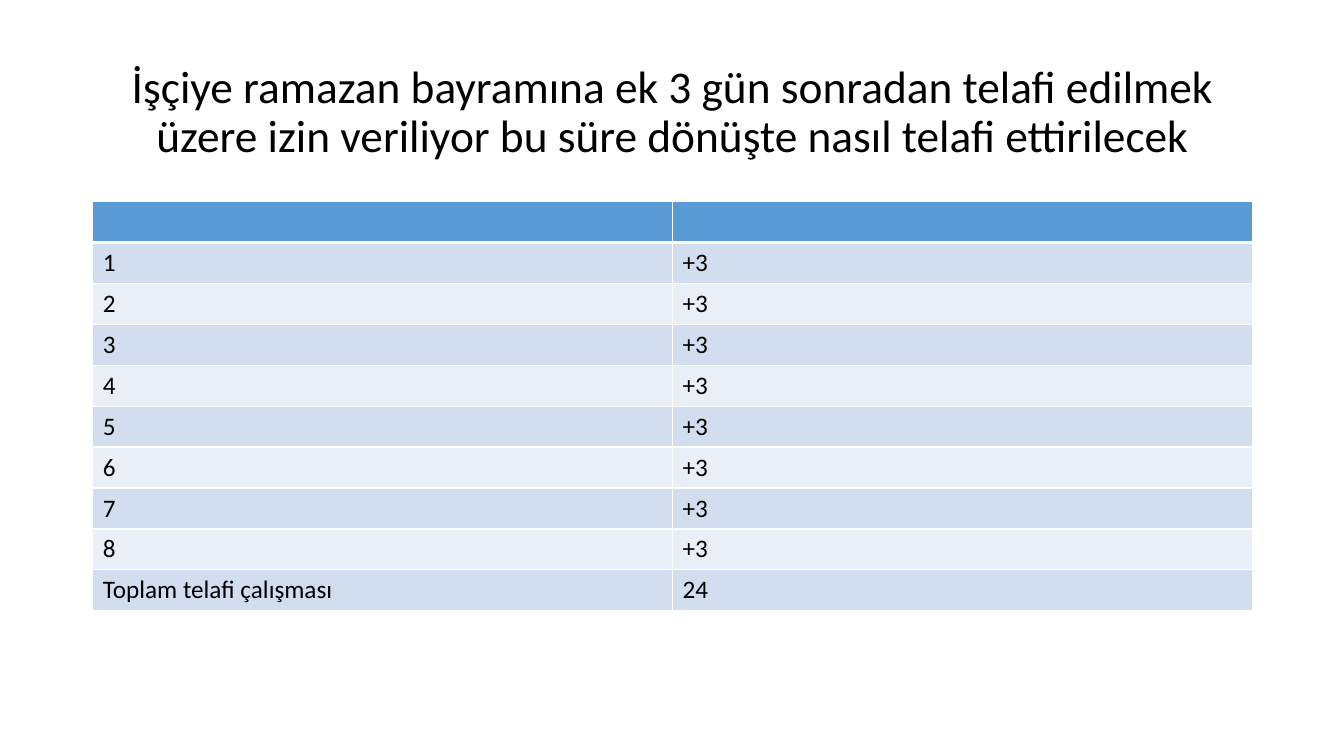
from lxml.etree import SubElement
from pptx import Presentation
from pptx.dml.color import RGBColor
from pptx.enum.text import MSO_ANCHOR, PP_ALIGN
from pptx.oxml.ns import qn
from pptx.util import Inches, Pt


def color(value):
    return RGBColor.from_string(value)


class SlideBuilder:
    font = "Calibri"
    ink = "000000"
    header_fill = "5B9BD5"
    band_fills = ("D2DEEF", "EAEFF7")
    border = "FFFFFF"

    def __init__(self, slide):
        self.slide = slide

    def add_text(self, frame, text, size, **paragraph_format):
        para = frame.paragraphs[0]
        for name, value in paragraph_format.items():
            setattr(para, name, value)
        span = para.add_run()
        span.text = text
        for name, value in {"name": self.font, "size": Pt(size), "bold": False}.items():
            setattr(span.font, name, value)
        span.font.color.rgb = color(self.ink)

    def title(self, text, left, top, width, height, size):
        box = self.slide.shapes.add_textbox(*map(Inches, (left, top, width, height)))
        frame = box.text_frame
        for name, value in {"word_wrap": True, "vertical_anchor": MSO_ANCHOR.MIDDLE}.items():
            setattr(frame, name, value)
        self.add_text(frame, text, size, alignment=PP_ALIGN.CENTER, line_spacing=0.9)

    def cell_borders(self, cell, widths):
        properties = cell._tc.get_or_add_tcPr()
        for side, width in widths.items():
            line = SubElement(properties, qn(f"a:ln{side}"), w=str(Pt(width)))
            fill = SubElement(line, qn("a:solidFill"))
            SubElement(fill, qn("a:srgbClr"), val=self.border)

    def table(self, rows, left, top, width, height, size):
        place = map(Inches, (left, top, width, height))
        table = self.slide.shapes.add_table(len(rows), len(rows[0]), *place).table
        for row_index, row in enumerate(rows):
            is_header = row_index == 0
            fill = self.header_fill if is_header else self.band_fills[(row_index - 1) % 2]
            widths = {"L": 1, "R": 1, "T": 3 if row_index == 1 else 1, "B": 3 if is_header else 1}
            for column_index, text in enumerate(row):
                cell = table.cell(row_index, column_index)
                self.cell_borders(cell, widths)
                cell.fill.solid()
                cell.fill.fore_color.rgb = color(fill)
                if text:
                    self.add_text(cell.text_frame, text, size)


def main():
    deck = Presentation()
    deck.slide_width, deck.slide_height = Inches(13.33), Inches(7.5)
    page = SlideBuilder(deck.slides.add_slide(deck.slide_layouts[6]))
    page.title(
        "İşçiye ramazan bayramına ek 3 gün sonradan telafi edilmek "
        "üzere izin veriliyor bu süre dönüşte nasıl telafi ettirilecek",
        0.92, 0.4, 11.5, 1.45, 32.4,
    )
    days, daily_hours = 8, 3
    rows = [("", "")]
    rows += [(str(day), f"+{daily_hours}") for day in range(1, days + 1)]
    rows.append(("Toplam telafi çalışması", str(days * daily_hours)))
    page.table(rows, 0.92, 2, 11.5, 4.06, 18)
    deck.save("out.pptx")


if __name__ == "__main__":
    main()
